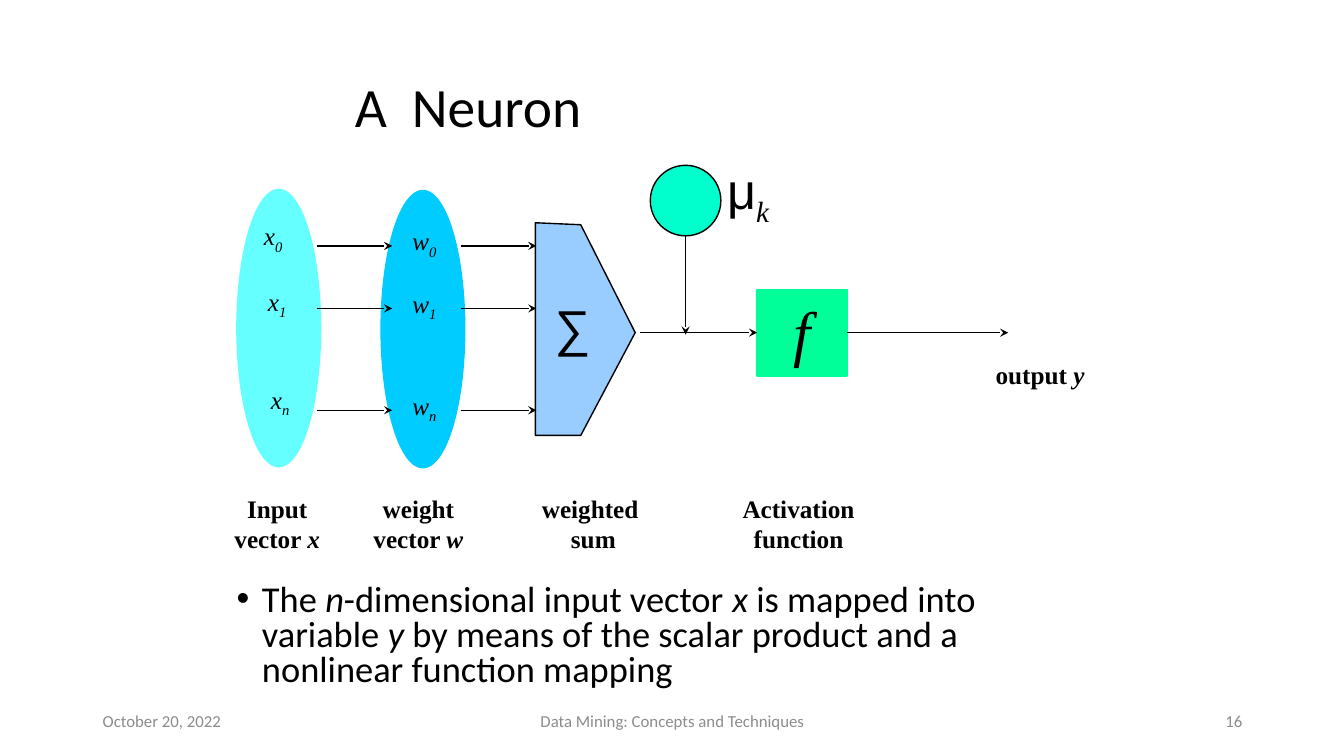
"""Builds a slide that explains the parts of a single artificial neuron."""
from dataclasses import dataclass

from lxml.etree import SubElement
from pptx import Presentation
from pptx.dml.color import RGBColor
from pptx.enum.shapes import MSO_CONNECTOR, MSO_SHAPE
from pptx.enum.text import MSO_ANCHOR, MSO_AUTO_SIZE, PP_ALIGN
from pptx.oxml.ns import qn
from pptx.util import Pt

PX = 9144
SANS, SERIF, SYMBOL = "Calibri", "Times New Roman", "Arial"
BLACK = RGBColor(0x00, 0x00, 0x00)
GREY = RGBColor(0x8C, 0x8C, 0x8C)
INPUT_CYAN = RGBColor(0x66, 0xFF, 0xFF)
WEIGHT_BLUE = RGBColor(0x00, 0xCC, 0xFF)
SUM_BLUE = RGBColor(0x99, 0xCC, 0xFF)
BIAS_TEAL = RGBColor(0x00, 0xFF, 0xCC)
FUNCTION_GREEN = RGBColor(0x00, 0xFF, 0x99)


@dataclass
class Span:
    """One run of text and what sets it apart."""
    text: str
    italic: bool = False
    lowered: bool = False
    font: str = ""


class NeuronPage:
    """Holds the current slide and draws each kind of element on it."""

    def __init__(self, deck):
        """Add a title-only slide to the deck."""
        self.slide = deck.slides.add_slide(deck.slide_layouts[5])
        self.shapes = self.slide.shapes

    def place(self, shape, left, top, width, height):
        """Move and size a shape."""
        shape.left, shape.top = left * PX, top * PX
        shape.width, shape.height = width * PX, height * PX

    def fill_text(self, frame, lines, size, font=SERIF, color=BLACK, bold=False,
                  align=PP_ALIGN.CENTER, anchor=MSO_ANCHOR.TOP, wrap=False):
        """Fill a text frame with lines of spans."""
        frame.word_wrap = wrap
        frame.auto_size = MSO_AUTO_SIZE.NONE
        frame.vertical_anchor = anchor
        for index, spans in enumerate(lines):
            para = frame.add_paragraph() if index else frame.paragraphs[0]
            para.alignment = align
            for span in spans:
                run = para.add_run()
                run.text = span.text
                run.font.name = span.font or font
                run.font.size = Pt(size)
                run.font.bold = bold
                run.font.italic = span.italic
                run.font.color.rgb = color
                if span.lowered:
                    run._r.get_or_add_rPr().set("baseline", "-25000")

    def title(self, text, left, top, width, height):
        """Place and fill the title placeholder."""
        title = self.shapes.title
        self.place(title, left, top, width, height)
        self.fill_text(title.text_frame, [[Span(text)]], 39.6, SANS, wrap=True,
                       align=PP_ALIGN.LEFT, anchor=MSO_ANCHOR.MIDDLE)
        title.text_frame.paragraphs[0].line_spacing = 0.9

    def text(self, left, top, width, height, lines, size, **style):
        """Add a text box."""
        box = self.shapes.add_textbox(left * PX, top * PX, width * PX, height * PX)
        self.fill_text(box.text_frame, lines, size, **style)
        return box

    def bullet(self, left, top, width, height, spans):
        """Add a bulleted paragraph with a hanging indent."""
        box = self.text(left, top, width, height, [spans], 26, font=SANS,
                        align=PP_ALIGN.LEFT, wrap=True)
        para = box.text_frame.paragraphs[0]
        para.line_spacing = 0.8
        properties = para._p.get_or_add_pPr()
        properties.set("marL", str(25 * PX))
        properties.set("indent", str(-25 * PX))
        SubElement(properties, qn("a:buFont")).set("typeface", SYMBOL)
        SubElement(properties, qn("a:buChar")).set("char", "•")

    def paint(self, shape, fill, line):
        """Set the fill and outline of a shape."""
        shape.shadow.inherit = False
        shape.fill.solid()
        shape.fill.fore_color.rgb = fill
        shape.line.color.rgb = line
        shape.line.width = Pt(1)
        return shape

    def shape(self, kind, left, top, width, height, fill, line):
        """Add a preset shape."""
        shape = self.shapes.add_shape(kind, left * PX, top * PX, width * PX, height * PX)
        return self.paint(shape, fill, line)

    def outline(self, points, fill, line):
        """Add a closed polygon."""
        builder = self.shapes.build_freeform(*points[0], scale=PX)
        builder.add_line_segments(points[1:], close=True)
        return self.paint(builder.convert_to_shape(), fill, line)

    def arrow(self, x1, y1, x2, y2):
        """Add a straight arrow."""
        arrow = self.shapes.add_connector(
            MSO_CONNECTOR.STRAIGHT, x1 * PX, y1 * PX, x2 * PX, y2 * PX)
        arrow.line.color.rgb = BLACK
        arrow.line.width = Pt(1)
        SubElement(arrow.line._get_or_add_ln(), qn("a:tailEnd")).set("type", "stealth")
        SubElement(arrow._element.spPr, qn("a:effectLst"))
        return arrow


def main():
    """Build and save the deck."""
    deck = Presentation()
    deck.slide_width, deck.slide_height = 1333 * PX, 750 * PX
    page = NeuronPage(deck)
    page.title("A  Neuron", 342, 81, 593, 55)

    page.shape(MSO_SHAPE.OVAL, 235, 188, 83, 275, INPUT_CYAN, INPUT_CYAN)
    page.shape(MSO_SHAPE.OVAL, 378, 189, 83, 275, WEIGHT_BLUE, WEIGHT_BLUE)
    page.outline([(531, 221), (531, 432), (576, 432), (630, 330), (576, 223)],
                 SUM_BLUE, BLACK)
    page.text(540, 289, 56, 70, [[Span("∑")]], 36, font=SYMBOL)

    for index, left, top, y in (("0", 251, 214, 244), ("1", 255, 279, 306),
                                ("n", 258, 376, 407)):
        for start in (314, 457):
            page.arrow(start, y, start + 75, y)
        for name, x_left, x_top, width in (("x", left, top, 40), ("w", 398, y - 25, 46)):
            page.text(x_left, x_top, width, 40,
                      [[Span(name, True), Span(index, True, True)]], 18)

    page.shape(MSO_SHAPE.OVAL, 645, 164, 70, 70, BIAS_TEAL, BLACK)
    page.text(710, 153, 64, 70,
              [[Span("μ", font=SYMBOL), Span("k", True, True)]], 36)
    page.arrow(680, 234, 680, 332)

    function = page.shape(MSO_SHAPE.RECTANGLE, 751, 287, 89, 86,
                          FUNCTION_GREEN, FUNCTION_GREEN)
    page.fill_text(function.text_frame, [[Span("f", True)]], 44, wrap=True)
    page.arrow(635, 330, 751, 330).end_connect(function, 1)
    page.arrow(840, 330, 1000, 330).begin_connect(function, 3)

    captions = (
        (222, 484, 106, [[Span("Input")], [Span("vector "), Span("x", True)]]),
        (360, 484, 110, [[Span("weight")], [Span("vector "), Span("w", True)]]),
        (527, 484, 123, [[Span("weighted ")], [Span("sum")]]),
        (726, 484, 132, [[Span("Activation")], [Span("function")]]),
        (977, 352, 109, [[Span("output "), Span("y", True)]]),
    )
    for left, top, width, lines in captions:
        page.text(left, top, width, 10 + 30 * len(lines), lines, 18, bold=True)

    page.bullet(225, 575, 870, 117, [
        Span("The "), Span("n", True), Span("-dimensional input vector "),
        Span("x", True), Span(" is mapped into variable "), Span("y", True),
        Span(" by means of the scalar product and a nonlinear function mapping")])

    for left, width, text, align in (
            (92, 300, "October 20, 2022", PP_ALIGN.LEFT),
            (442, 450, "Data Mining: Concepts and Techniques", PP_ALIGN.CENTER),
            (942, 300, "16", PP_ALIGN.RIGHT)):
        page.text(left, 695, width, 40, [[Span(text)]], 12, font=SANS, color=GREY,
                  align=align, anchor=MSO_ANCHOR.MIDDLE, wrap=True)

    deck.save("out.pptx")


if __name__ == "__main__":
    main()
